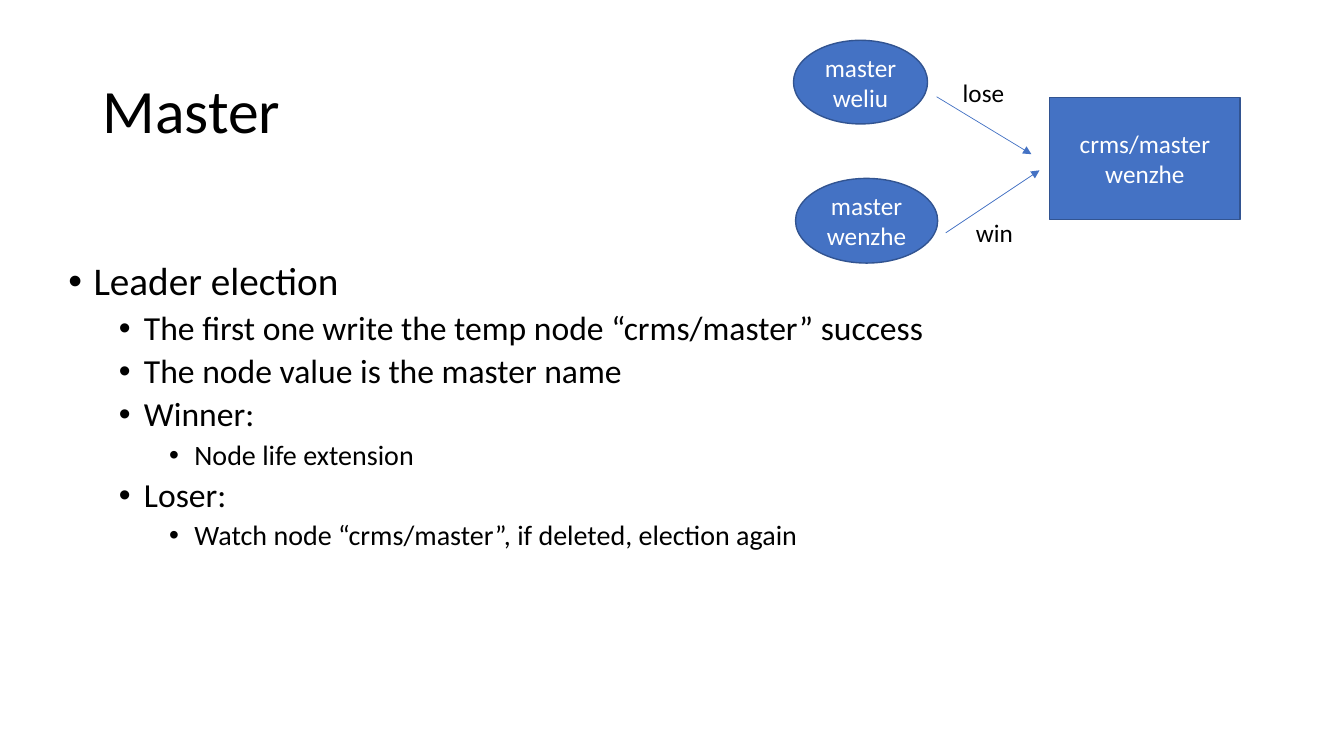
"""Build the Master leader election slide."""
from lxml import etree
from pptx import Presentation
from pptx.dml.color import RGBColor
from pptx.enum.shapes import MSO_CONNECTOR, MSO_SHAPE
from pptx.enum.text import MSO_ANCHOR as Anchor, MSO_AUTO_SIZE as AutoSize, PP_ALIGN as Align
from pptx.oxml.ns import qn
from pptx.util import Inches, Pt

BLACK = RGBColor(0x00, 0x00, 0x00)
WHITE = RGBColor(0xFF, 0xFF, 0xFF)
BLUE = RGBColor(0x44, 0x72, 0xC4)
NAVY = RGBColor(0x32, 0x54, 0x91)


def write(paragraph, text, size, color, **formats):
    run = paragraph.add_run()
    run.text = text
    run.font.name = "Calibri"
    run.font.size = Pt(size)
    run.font.color.rgb = color
    for name, value in formats.items():
        setattr(paragraph, name, value)


def add_text(left, top, width, height, **formats):
    frame = slide.shapes.add_textbox(*map(Inches, (left, top, width, height))).text_frame
    for name, value in formats.items():
        setattr(frame, name, value)
    return frame


prs = Presentation()
prs.slide_width, prs.slide_height = Inches(13.33), Inches(7.5)
slide = prs.slides.add_slide(prs.slide_layouts[6])
slide.background.fill.solid()
slide.background.fill.fore_color.rgb = WHITE

title = add_text(0.92, 0.4, 11.5, 1.45, word_wrap=True, vertical_anchor=Anchor.MIDDLE)
write(title.paragraphs[0], "Master", 44, BLACK, line_spacing=0.9)

election_points = [
    (0, "Leader election"),
    (1, "The first one write the temp node “crms/master” success"),
    (1, "The node value is the master name"),
    (1, "Winner:"),
    (2, "Node life extension"),
    (1, "Loser:"),
    (2, "Watch node “crms/master”, if deleted, election again"),
]
election = add_text(0.58, 2.55, 11.5, 4.28, word_wrap=True)
for index, (level, text) in enumerate(election_points):
    point = election.add_paragraph() if index else election.paragraphs[0]
    write(point, text, 28 - 4 * level, BLACK, level=level, line_spacing=0.9,
          space_before=Pt(5 if level else 10))
    properties = point._p.get_or_add_pPr()
    properties.set("marL", str(Inches(0.25 + 0.5 * level)))
    properties.set("indent", str(Inches(-0.25)))
    etree.SubElement(properties, qn("a:buFont")).set("typeface", "Arial")
    etree.SubElement(properties, qn("a:buChar")).set("char", "•")

nodes = [
    (MSO_SHAPE.OVAL, (7.87, 0.4, 1.33, 0.83), ["master", "weliu"]),
    (MSO_SHAPE.OVAL, (7.89, 1.77, 1.41, 0.84), ["master wenzhe"]),
    (MSO_SHAPE.RECTANGLE, (10.41, 0.97, 1.89, 1.21), ["crms/master", "wenzhe"]),
]
for outline, box, lines in nodes:
    node = slide.shapes.add_shape(outline, *map(Inches, box))
    node.shadow.inherit = False
    node.fill.solid()
    node.fill.fore_color.rgb = BLUE
    node.line.color.rgb = NAVY
    node.line.width = Pt(1)
    label = node.text_frame
    label.word_wrap = True
    label.vertical_anchor = Anchor.MIDDLE
    for index, text in enumerate(lines):
        line = label.add_paragraph() if index else label.paragraphs[0]
        write(line, text, 18, WHITE, alignment=Align.CENTER)

for ends in [(9.29, 0.96, 10.23, 1.53), (9.38, 2.31, 10.31, 1.69)]:
    attempt = slide.shapes.add_connector(MSO_CONNECTOR.STRAIGHT, *map(Inches, ends))
    attempt.line.color.rgb = BLUE
    attempt.line.width = Pt(0.5)
    etree.SubElement(attempt.line._get_or_add_ln(), qn("a:tailEnd")).set("type", "triangle")
    etree.SubElement(attempt._element.spPr, qn("a:effectLst"))

for outcome, box in [("win", (9.58, 2.11, 0.57, 0.4)), ("lose", (9.45, 0.72, 0.62, 0.4))]:
    caption = add_text(*box, word_wrap=False, auto_size=AutoSize.SHAPE_TO_FIT_TEXT)
    write(caption.paragraphs[0], outcome, 18, BLACK)

prs.save("out.pptx")
